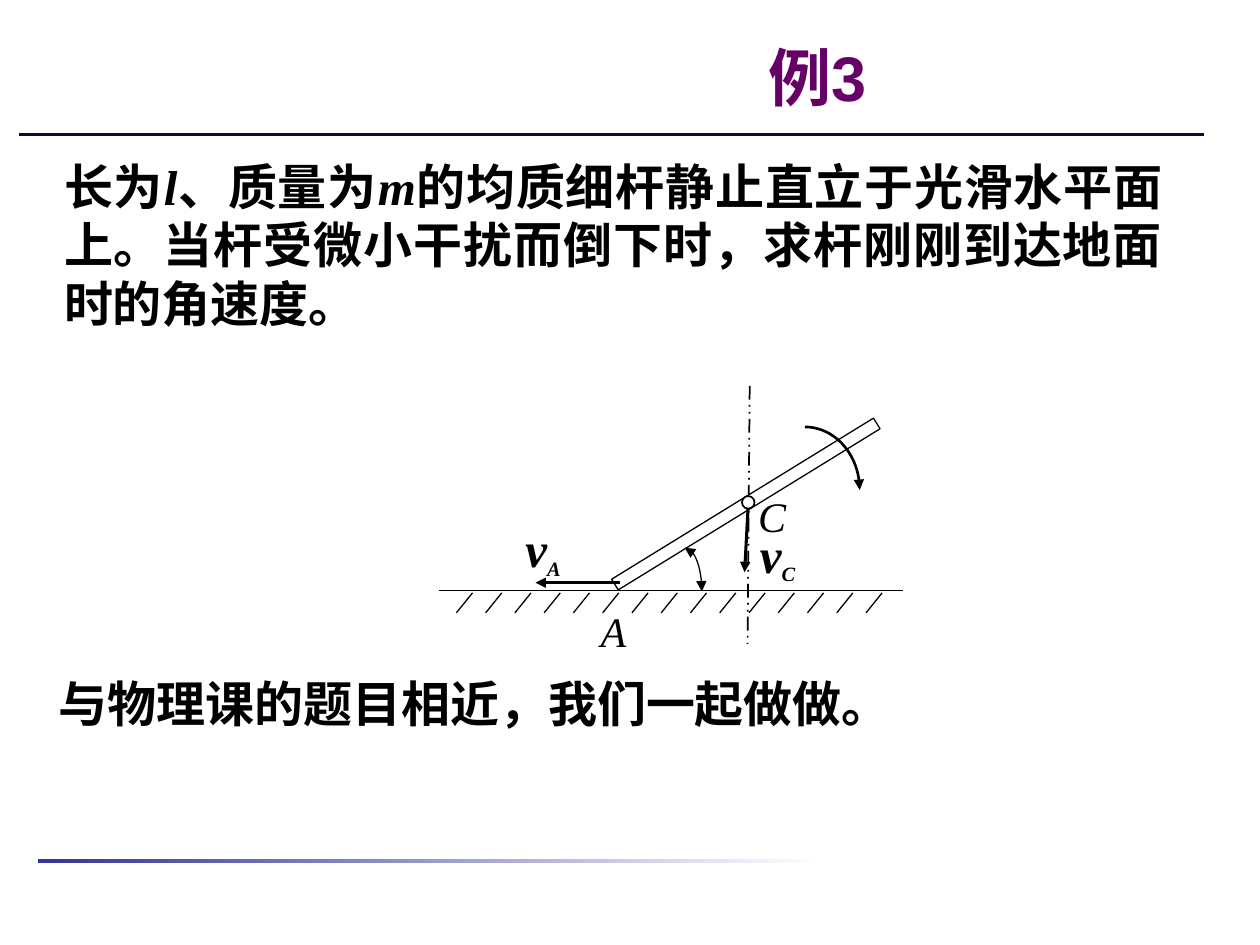
from dataclasses import dataclass
from math import cos, pi, sin
from typing import Optional

from lxml.etree import SubElement
from pptx import Presentation
from pptx.dml.color import RGBColor
from pptx.enum.dml import MSO_LINE
from pptx.enum.shapes import MSO_CONNECTOR, MSO_SHAPE
from pptx.enum.text import MSO_ANCHOR, MSO_AUTO_SIZE, PP_ALIGN
from pptx.oxml.ns import qn
from pptx.util import Pt

BLACK = "000000"
WHITE = "FFFFFF"
SERIF = "Times New Roman"


@dataclass
class Piece:
    text: str
    size: float = 28
    bold: bool = True
    italic: bool = False
    subscript: bool = False
    font: str = SERIF
    color: str = BLACK


@dataclass
class Caption:
    left: float
    top: float
    width: float
    height: float
    pieces: list[Piece]


@dataclass
class Segment:
    x1: float
    y1: float
    x2: float
    y2: float
    weight: float = 0.75
    color: str = BLACK
    dash: Optional[MSO_LINE] = None
    arrow: bool = False


@dataclass
class QuarterArc:
    left: float
    top: float
    width: float
    height: float
    weight: float
    both_ends: bool = False


def rgb(value: str) -> RGBColor:
    return RGBColor.from_string(value)


def add_arrowhead(drawn, end: str) -> None:
    SubElement(drawn.line._get_or_add_ln(), qn(f"a:{end}"), type="triangle")


def draw_segment(slide, segment: Segment) -> None:
    drawn = slide.shapes.add_connector(
        MSO_CONNECTOR.STRAIGHT,
        Pt(segment.x1), Pt(segment.y1), Pt(segment.x2), Pt(segment.y2),
    )
    drawn.line.width = Pt(segment.weight)
    drawn.line.color.rgb = rgb(segment.color)
    if segment.dash is not None:
        drawn.line.dash_style = segment.dash
    if segment.arrow:
        add_arrowhead(drawn, "tailEnd")
    SubElement(drawn._element.spPr, qn("a:effectLst"))


def draw_arc(slide, arc: QuarterArc, steps: int = 24) -> None:
    angles = [pi / 2 * step / steps for step in range(steps + 1)]
    points = [
        (Pt(arc.left + arc.width * sin(a)), Pt(arc.top + arc.height * (1 - cos(a))))
        for a in angles
    ]
    builder = slide.shapes.build_freeform(*points[0])
    builder.add_line_segments(points[1:], close=False)
    drawn = builder.convert_to_shape()
    drawn.shadow.inherit = False
    drawn.fill.background()
    drawn.line.width = Pt(arc.weight)
    drawn.line.color.rgb = rgb(BLACK)
    if arc.both_ends:
        add_arrowhead(drawn, "headEnd")
    add_arrowhead(drawn, "tailEnd")


def draw_solid(slide, kind: MSO_SHAPE, left: float, top: float, width: float,
               height: float, weight: float, rotation: float = 0) -> None:
    solid = slide.shapes.add_shape(kind, Pt(left), Pt(top), Pt(width), Pt(height))
    solid.shadow.inherit = False
    solid.rotation = rotation
    solid.fill.solid()
    solid.fill.fore_color.rgb = rgb(WHITE)
    solid.line.color.rgb = rgb(BLACK)
    solid.line.width = Pt(weight)


def write_pieces(paragraph, pieces: list[Piece]) -> None:
    for piece in pieces:
        run = paragraph.add_run()
        run.text = piece.text
        run.font.name = piece.font
        run.font.size = Pt(piece.size)
        run.font.bold = piece.bold
        run.font.italic = piece.italic
        run.font.color.rgb = rgb(piece.color)
        if piece.subscript:
            run._r.get_or_add_rPr().set("baseline", "-25000")


def draw_caption(slide, caption: Caption, body: bool = False) -> None:
    box = slide.shapes.add_textbox(
        Pt(caption.left), Pt(caption.top), Pt(caption.width), Pt(caption.height)
    )
    frame = box.text_frame
    frame.word_wrap = body
    frame.auto_size = MSO_AUTO_SIZE.SHAPE_TO_FIT_TEXT
    paragraph = frame.paragraphs[0]
    paragraph.alignment = PP_ALIGN.JUSTIFY if body else PP_ALIGN.CENTER
    if body:
        paragraph.space_after = Pt(7.7)
    write_pieces(paragraph, caption.pieces)


def point_name(letter: str) -> list[Piece]:
    return [Piece(letter, 24, bold=False, italic=True)]


def velocity(letter: str) -> list[Piece]:
    return [Piece("v", italic=True), Piece(letter, 20, italic=True, subscript=True)]


def draw_title(slide) -> None:
    title = slide.shapes.title
    title.left, title.top, title.width, title.height = Pt(249), Pt(15), Pt(436), Pt(57)
    title.text_frame.vertical_anchor = MSO_ANCHOR.MIDDLE
    paragraph = title.text_frame.paragraphs[0]
    paragraph.alignment = PP_ALIGN.CENTER
    write_pieces(paragraph, [Piece("例3", 36, font="Arial", color="660066")])


def draw_rules(slide) -> None:
    footer_bar = slide.shapes.add_shape(
        MSO_SHAPE.RECTANGLE, Pt(21.6), Pt(491), Pt(448), Pt(5.8)
    )
    footer_bar.shadow.inherit = False
    footer_bar.line.fill.background()
    footer_bar.fill.gradient()
    footer_bar.fill.gradient_angle = 0
    for stop, color in zip(footer_bar.fill.gradient_stops, ("333399", WHITE)):
        stop.color.rgb = rgb(color)
    draw_segment(slide, Segment(22, 496.8, 476, 496.8, 7, WHITE))
    draw_segment(slide, Segment(10.8, 77, 688.3, 77, 1.5, "080B42"))


def draw_rod_diagram(slide) -> None:
    draw_segment(slide, Segment(428.4, 220.5, 427.2, 368, 1, dash=MSO_LINE.DASH_DOT_DOT))
    draw_solid(slide, MSO_SHAPE.RECTANGLE, 338.4, 284.4, 175.7, 7.2, 0.75, 328.4)
    draw_segment(slide, Segment(250.6, 337.5, 516.2, 337.5))
    for index in range(15):
        hatch_x = 270 + 16.72 * index
        draw_segment(slide, Segment(hatch_x, 338.8, hatch_x - 9.2, 350.2))
    draw_arc(slide, QuarterArc(391.3, 313, 9.8, 25, 0.75, both_ends=True))
    draw_arc(slide, QuarterArc(460, 244, 31.3, 36, 1.5))
    draw_segment(slide, Segment(427.7, 286, 425.5, 327, 1.75, arrow=True))
    draw_segment(slide, Segment(354.2, 333, 306, 333, 1.75, arrow=True))
    for caption in (
        Caption(336.2, 342.7, 28.8, 36, point_name("A")),
        Caption(426.2, 276.5, 30.2, 36, point_name("C")),
        Caption(427, 296, 34.6, 42.5, velocity("C")),
        Caption(293, 293, 34.6, 42.5, velocity("A")),
    ):
        draw_caption(slide, caption)
    draw_solid(slide, MSO_SHAPE.OVAL, 424, 283.5, 7.2, 7.2, 1)


def main() -> None:
    deck = Presentation()
    deck.slide_width, deck.slide_height = Pt(720), Pt(540)
    slide = deck.slides.add_slide(deck.slide_layouts[5])
    draw_title(slide)
    draw_rules(slide)
    problem = [
        Piece("长为"), Piece("l", italic=True),
        Piece("、质量为"), Piece("m", italic=True),
        Piece("的均质细杆静止直立于光滑水平面上。当杆受微小干扰而倒下时，求杆刚刚到达地面时的角速度。"),
    ]
    draw_caption(slide, Caption(29.5, 85.7, 642.2, 108, problem), body=True)
    draw_rod_diagram(slide)
    remark = [Piece("与物理课的题目相近，我们一起做做。")]
    draw_caption(slide, Caption(26.6, 381.6, 642.2, 41, remark), body=True)
    deck.save("out.pptx")


if __name__ == "__main__":
    main()
